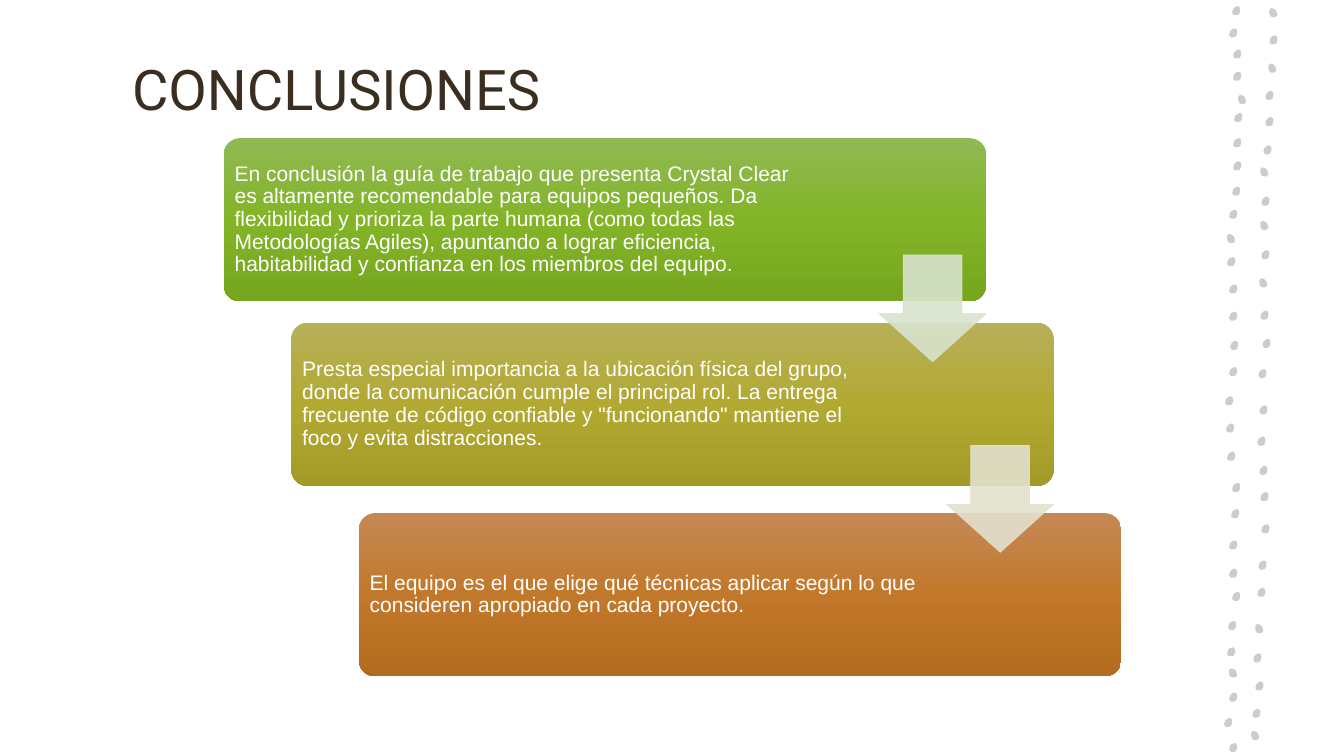
"""Builds the conclusions slide: three stepped panels joined by arrows."""
import copy

import lxml.etree
import pptx
import pptx.dml.color
import pptx.enum.shapes
import pptx.enum.text
import pptx.oxml.ns
import pptx.util

Inches = pptx.util.Inches
RGBColor = pptx.dml.color.RGBColor
Kind = pptx.enum.shapes.MSO_SHAPE
Align = pptx.enum.text.PP_ALIGN
Anchor = pptx.enum.text.MSO_ANCHOR

BROWN = RGBColor(0x3B, 0x2E, 0x21)
WHITE = RGBColor(0xFF, 0xFF, 0xFF)
LILAC = RGBColor(0xD2, 0xC8, 0xD4)
GREENS = [RGBColor(0x90, 0xB9, 0x54), RGBColor(0x83, 0xB4, 0x28), RGBColor(0x76, 0xA6, 0x1E)]
OLIVES = [RGBColor(0xB7, 0xB0, 0x59), RGBColor(0xB2, 0xA9, 0x32), RGBColor(0xA3, 0x9B, 0x27)]
RUSTS = [RGBColor(0xC5, 0x88, 0x55), RGBColor(0xC2, 0x78, 0x2A), RGBColor(0xB2, 0x6B, 0x1F)]
MIST = RGBColor(0xD8, 0xE3, 0xCD)
SAND = RGBColor(0xE3, 0xE0, 0xCE)

STEPS = [
    (1.37, GREENS, "En conclusión la guía de trabajo que presenta Crystal Clear es altamente "
     "recomendable para equipos pequeños. Da flexibilidad y prioriza la parte humana (como todas "
     "las Metodologías Agiles), apuntando a lograr eficiencia, habitabilidad y confianza en los "
     "miembros del equipo."),
    (3.2, OLIVES, "Presta especial importancia a la ubicación física del grupo, donde la "
     "comunicación cumple el principal rol. La entrega frecuente de código confiable y "
     "\"funcionando\" mantiene el foco y evita distracciones."),
    (5.09, RUSTS, "El equipo es el que elige qué técnicas aplicar según lo que consideren "
     "apropiado en cada proyecto."),
]
LEFT, SHIFT, WIDE, HIGH = 2.22, 0.67, 7.56, 1.62
ARROW = 1.06

RIGHT_LEAN = [
    (12.26, 0.11), (12.23, 0.33), (12.27, 0.54), (12.27, 0.76), (12.28, 1.17), (12.27, 1.42),
    (12.27, 1.65), (12.26, 1.9), (12.23, 2.13), (12.21, 2.6), (12.23, 2.87), (12.23, 3.14),
    (12.24, 3.43), (12.23, 3.69), (12.19, 3.98), (12.2, 4.25), (12.21, 4.53), (12.26, 4.84),
    (12.25, 5.1), (12.23, 5.41), (12.23, 5.69), (12.26, 5.92), (12.22, 6.21), (12.21, 6.47),
    (12.23, 6.92), (12.18, 7.17), (12.23, 7.42), (12.63, 0.4), (12.59, 0.95), (12.59, 1.21),
    (12.57, 1.49), (12.55, 2), (12.55, 2.53), (12.54, 3.13), (12.56, 3.41), (12.52, 3.71),
    (12.53, 4.07), (12.51, 4.38), (12.53, 4.67), (12.54, 4.93), (12.55, 5.25), (12.52, 5.61),
    (12.51, 5.88), (12.47, 6.53), (12.49, 6.81), (12.46, 7.08),
]
LEFT_LEAN = [
    (12.32, 0.99), (12.21, 2.37), (12.23, 6.68), (12.63, 0.13), (12.62, 0.68), (12.54, 1.71),
    (12.54, 2.24), (12.53, 2.81), (12.49, 6.24), (12.45, 7.3),
]
SEED = [(0.04, 0), (0.03, 0.03), (0.01, 0.04), (-0.02, 0.04), (-0.04, 0.02),
        (-0.03, -0.02), (-0.01, -0.04), (0.02, -0.05), (0.04, -0.03)]


def add_run(para, text, size, font, color):
    run = para.add_run()
    run.text = text
    run.font.size = pptx.util.Pt(size)
    run.font.name = font
    run.font.color.rgb = color


def add_title(slide, text):
    title = slide.shapes.title
    title.left, title.top = Inches(1.21), Inches(0.15)
    title.width, title.height = Inches(10.54), Inches(1.45)
    frame = title.text_frame
    frame.vertical_anchor = Anchor.MIDDLE
    frame.paragraphs[0].alignment = Align.LEFT
    add_run(frame.paragraphs[0], text, 40, "Roboto", BROWN)


def add_seed(group, x, y, lean):
    spots = [(Inches(x + lean * dx), Inches(y + dy)) for dx, dy in SEED]
    pen = group.shapes.build_freeform(*spots[0])
    pen.add_line_segments(spots[1:])
    seed = pen.convert_to_shape()
    seed.shadow.inherit = False
    seed.fill.solid()
    seed.fill.fore_color.rgb = LILAC
    seed.line.fill.background()


def fill_grade(shape, colors):
    fill = shape.fill
    fill.gradient()
    fill.gradient_angle = 270
    stops = shape.element.spPr.find(".//" + pptx.oxml.ns.qn("a:gsLst"))
    stops.insert(1, copy.deepcopy(stops[0]))
    for stop, color, place in zip(fill.gradient_stops, colors, (0, 0.5, 1)):
        stop.color.rgb = color
        stop.position = place


def add_panel(slide, left, top, colors, text):
    panel = slide.shapes.add_shape(
        Kind.ROUNDED_RECTANGLE, Inches(left), Inches(top), Inches(WIDE), Inches(HIGH))
    panel.adjustments[0] = 0.1
    panel.shadow.inherit = False
    panel.line.fill.background()
    fill_grade(panel, colors)
    frame = panel.text_frame
    frame.word_wrap = True
    frame.vertical_anchor = Anchor.MIDDLE
    frame.margin_left = frame.margin_top = frame.margin_bottom = Inches(0.06)
    frame.margin_right = Inches(1.75)
    para = frame.paragraphs[0]
    para.alignment = Align.LEFT
    para.line_spacing = 0.9
    add_run(para, text, 15, "Arial", WHITE)


def add_arrow(slide, left, top, color):
    arrow = slide.shapes.add_shape(
        Kind.DOWN_ARROW, Inches(left), Inches(top), Inches(ARROW), Inches(ARROW))
    arrow.adjustments[0], arrow.adjustments[1] = 0.55, 0.45
    arrow.shadow.inherit = False
    arrow.fill.solid()
    arrow.fill.fore_color.rgb = color
    arrow.line.color.rgb = color
    arrow.line.width = pptx.util.Pt(0.5)
    for tint in arrow.element.spPr.iter(pptx.oxml.ns.qn("a:srgbClr")):
        lxml.etree.SubElement(tint, pptx.oxml.ns.qn("a:alpha"), val="90000")


def main():
    deck = pptx.Presentation()
    deck.slide_width, deck.slide_height = Inches(13.33), Inches(7.5)
    slide = deck.slides.add_slide(deck.slide_layouts[5])
    add_title(slide, "CONCLUSIONES")
    group = slide.shapes.add_group_shape()
    for lean, spots in ((1, RIGHT_LEAN), (-1, LEFT_LEAN)):
        for x, y in spots:
            add_seed(group, x, y, lean)
    for rank, (top, colors, text) in enumerate(STEPS):
        add_panel(slide, LEFT + rank * SHIFT, top, colors, text)
    for rank, color in enumerate((MIST, SAND)):
        left = LEFT + rank * SHIFT + WIDE - ARROW
        add_arrow(slide, left, STEPS[rank + 1][0] - 0.67, color)
    deck.save("out.pptx")


if __name__ == "__main__":
    main()
